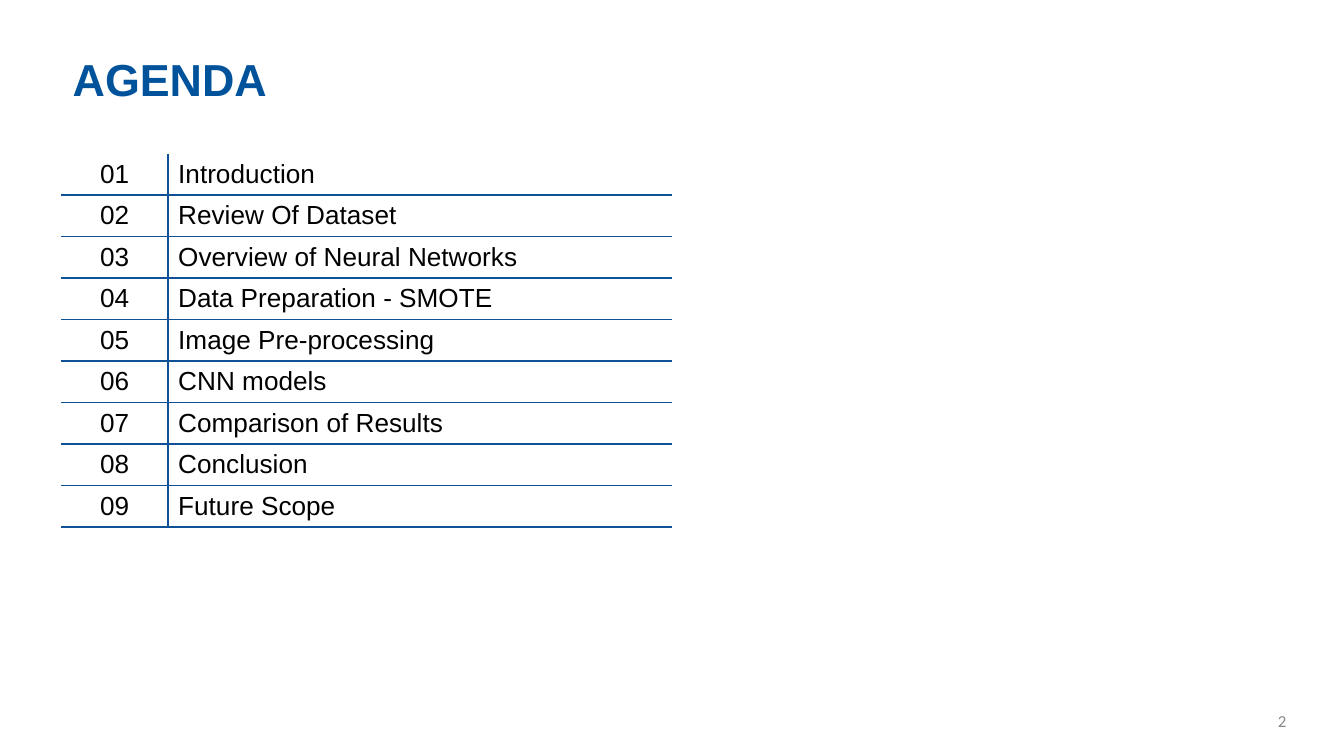
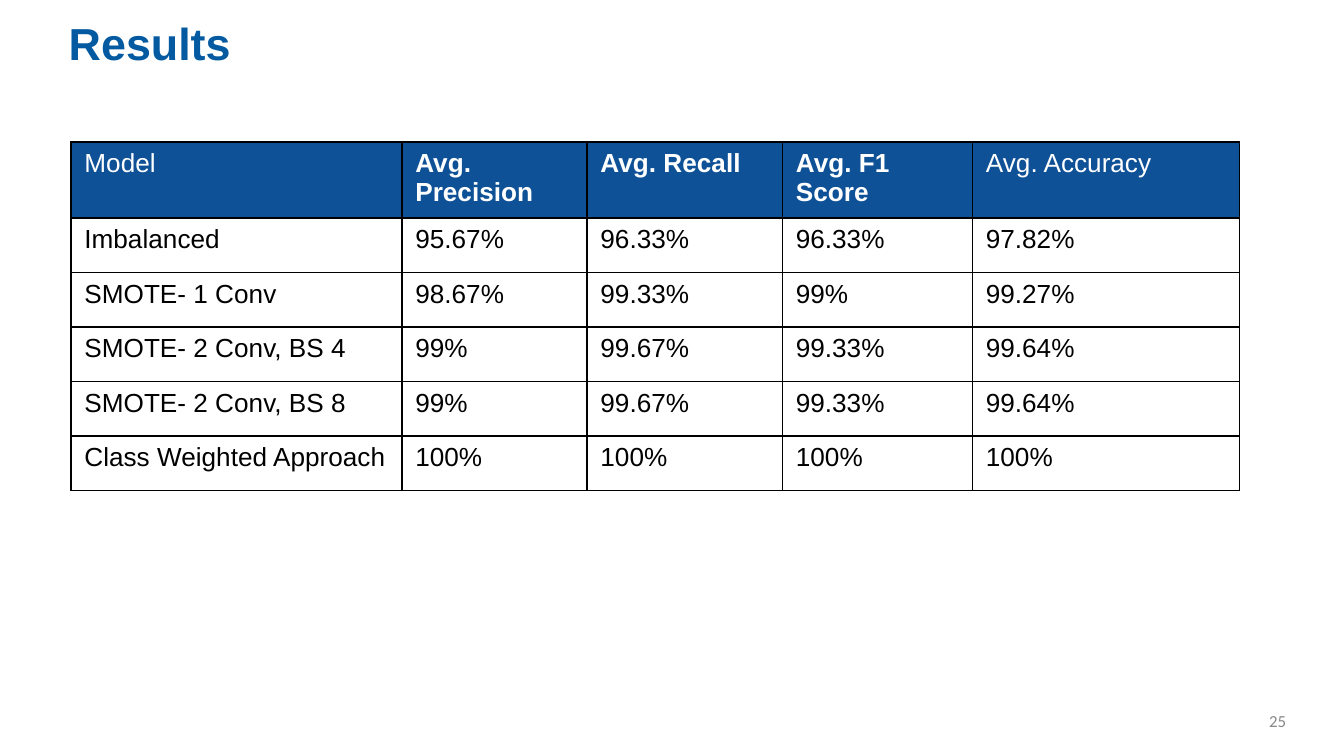
from lxml import etree
from pptx import Presentation
from pptx import util as u
from pptx.dml import color
from pptx.enum import text
from pptx.oxml import ns

BLUE = "0E5197"
BLACK = "000000"
WHITE = "FFFFFF"
GREY = "888888"
MARGINS = (5.4, 2.7)

AGENDA = [
    "Introduction",
    "Review Of Dataset",
    "Overview of Neural Networks",
    "Data Preparation - SMOTE",
    "Image Pre-processing",
    "CNN models",
    "Comparison of Results",
    "Conclusion",
    "Future Scope",
]

RESULTS = [
    ["Model", "Avg. Precision", "Avg. Recall", "Avg. F1 Score", "Avg. Accuracy"],
    ["Imbalanced", "95.67%", "96.33%", "96.33%", "97.82%"],
    ["SMOTE- 1 Conv", "98.67%", "99.33%", "99%", "99.27%"],
    ["SMOTE- 2 Conv, BS 4", "99%", "99.67%", "99.33%", "99.64%"],
    ["SMOTE- 2 Conv, BS 8", "99%", "99.67%", "99.33%", "99.64%"],
    ["Class Weighted Approach", "100%", "100%", "100%", "100%"],
]


def rgb(value):
    """Turn a hex string into a colour."""
    return color.RGBColor.from_string(value)


def set_font(paragraph, size, hue, bold=False, name="Arial"):
    """Set the font of a whole paragraph."""
    font = paragraph.font
    font.name, font.size, font.bold = name, u.Pt(size), bold
    font.color.rgb = rgb(hue)


def set_margins(box, horizontal, vertical):
    """Set the inner margins of a text frame or a table cell."""
    box.margin_left = box.margin_right = u.Pt(horizontal)
    box.margin_top = box.margin_bottom = u.Pt(vertical)


def add_text(slide, content, left, top, width, height):
    """Add a vertically centred text box and return its paragraph."""
    shape = slide.shapes.add_textbox(*map(u.Pt, (left, top, width, height)))
    frame = shape.text_frame
    frame.word_wrap = True
    frame.vertical_anchor = text.MSO_ANCHOR.MIDDLE
    set_margins(frame, *MARGINS)
    paragraph = frame.paragraphs[0]
    paragraph.text = content
    return paragraph


def add_title(slide, content, left, top, width, hue):
    """Add the slide title."""
    paragraph = add_text(slide, content, left, top, width, 31.7)
    paragraph.line_spacing = 0.9
    set_font(paragraph, 24, hue, bold=True)


def add_page_slide(presentation, number):
    """Add a blank slide with its page number."""
    slide = presentation.slides.add_slide(presentation.slide_layouts[6])
    paragraph = add_text(slide, str(number), 665.7, 375.4, 28.8, 21.6)
    paragraph.alignment = text.PP_ALIGN.RIGHT
    set_font(paragraph, 9, GREY, name="Calibri")
    return slide


def set_borders(cell, sides, hue):
    """Draw the named sides of a cell and clear the others."""
    properties = cell._tc.get_or_add_tcPr()
    for side in "LRTB":
        line = etree.SubElement(properties, ns.qn(f"a:ln{side}"), w=str(u.Pt(1)))
        if side in sides:
            fill = etree.SubElement(line, ns.qn("a:solidFill"))
            etree.SubElement(fill, ns.qn("a:srgbClr"), val=hue)
        else:
            etree.SubElement(line, ns.qn("a:noFill"))


def add_table(slide, rows, left, top, widths, heights):
    """Add a plain table filled with text."""
    frame = slide.shapes.add_table(
        len(rows), len(widths), u.Pt(left), u.Pt(top),
        u.Pt(sum(widths)), u.Pt(sum(heights)))
    table = frame.table
    table.first_row = table.horz_banding = False
    for column, width in zip(table.columns, widths):
        column.width = u.Pt(width)
    for row, height, values in zip(table.rows, heights, rows):
        row.height = u.Pt(height)
        for cell, value in zip(row.cells, values):
            cell.text = value
    return table


def style_cell(cell, sides, border, fill, hue, bold=False):
    """Set the borders, fill and font of a cell."""
    set_borders(cell, sides, border)
    cell.fill.solid()
    cell.fill.fore_color.rgb = rgb(fill)
    set_font(cell.text_frame.paragraphs[0], 14, hue, bold)


def add_agenda(slide):
    """Add the numbered agenda, ruled between rows and columns."""
    rows = [(f"{number:02}", topic) for number, topic in enumerate(AGENDA, 1)]
    table = add_table(slide, rows, 32.8, 82.3, [57.3, 269.8], [22.2] * len(rows))
    for index, row in enumerate(table.rows):
        horizontal = "TB" if index else "B"
        for cell, vertical in zip(row.cells, "RL"):
            style_cell(cell, horizontal + vertical, BLUE, WHITE, BLACK)
            set_margins(cell, *MARGINS)
            cell.vertical_anchor = text.MSO_ANCHOR.MIDDLE
        row.cells[0].text_frame.paragraphs[0].alignment = text.PP_ALIGN.CENTER


def add_results(slide):
    """Add the grid of model scores under a blue header."""
    widths = [177.3, 99.2, 104.7, 101.8, 143]
    heights = [40.7] + [29.2] * (len(RESULTS) - 1)
    table = add_table(slide, RESULTS, 38, 76, widths, heights)
    last = len(widths) - 1
    for index, row in enumerate(table.rows):
        for column, cell in enumerate(row.cells):
            if index == 0:
                style_cell(cell, "LRTB", BLACK, BLUE, WHITE, bold=0 < column < last)
            else:
                style_cell(cell, "LRTB", BLACK, WHITE, BLACK)


def main():
    """Build the agenda and results slides."""
    presentation = Presentation()
    presentation.slide_width, presentation.slide_height = u.Pt(720), u.Pt(405)
    slide = add_page_slide(presentation, 2)
    add_agenda(slide)
    add_title(slide, "AGENDA", 33.5, 28, 422, "00539B")
    slide = add_page_slide(presentation, 25)
    add_title(slide, "Results", 31.4, 8.6, 358, "035AA1")
    add_results(slide)
    presentation.save("out.pptx")


if __name__ == "__main__":
    main()
